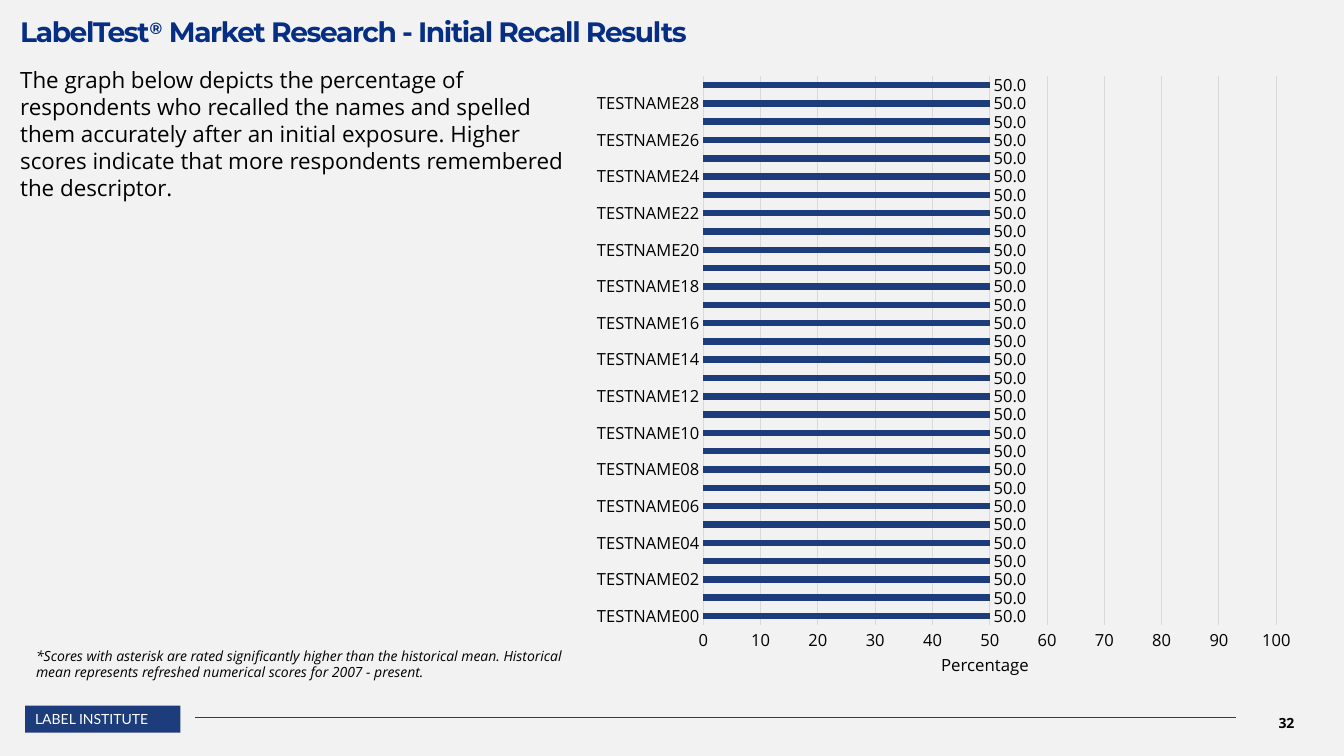
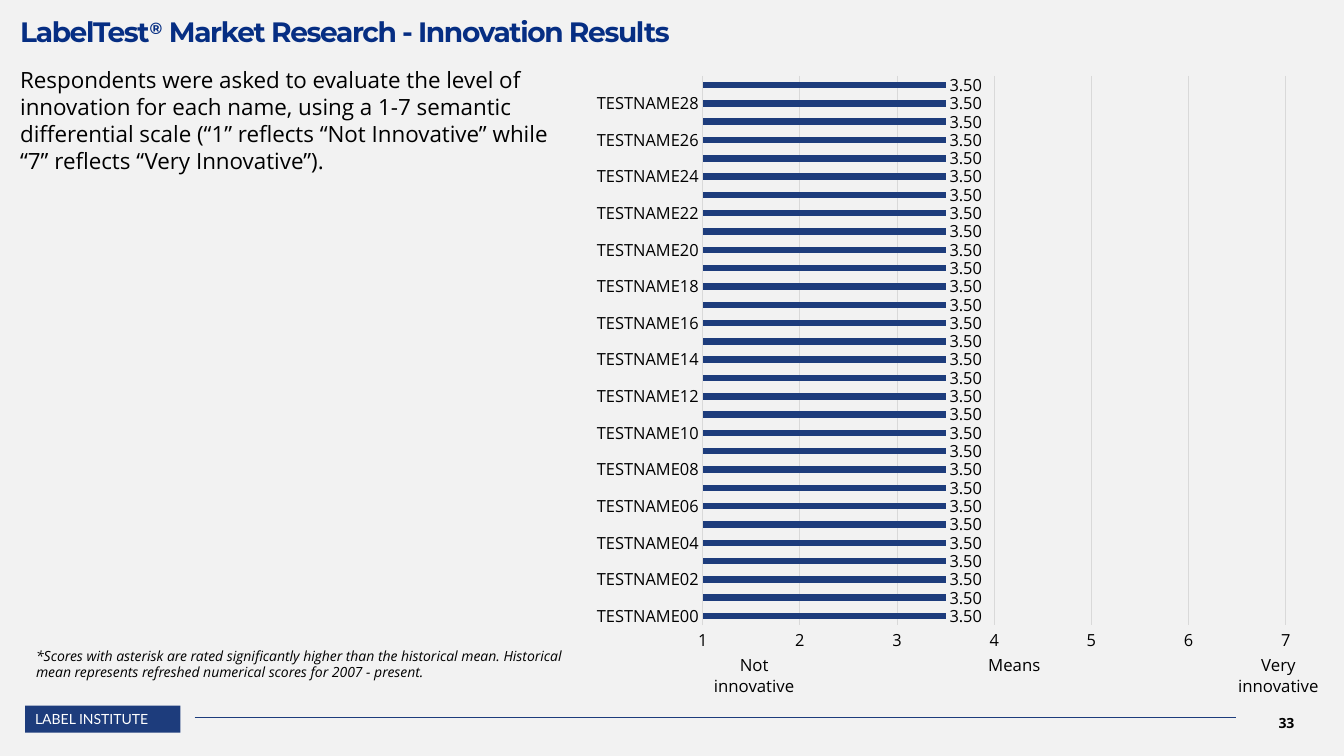
from dataclasses import dataclass
from typing import NamedTuple

from lxml.etree import SubElement
from pptx import Presentation
from pptx.chart.data import CategoryChartData
from pptx.dml.color import RGBColor
from pptx.enum.chart import XL_CHART_TYPE, XL_LABEL_POSITION, XL_TICK_MARK
from pptx.enum.shapes import MSO_CONNECTOR, MSO_SHAPE
from pptx.enum.text import MSO_ANCHOR, MSO_AUTO_SIZE, PP_ALIGN
from pptx.oxml import parse_xml
from pptx.oxml.ns import qn
from pptx.util import Inches, Pt

NAVY, BLUE, BLACK, WHITE = "1D3C7C", "062E83", "000000", "FFFFFF"
PAPER, GRID = "F2F2F2", "D9D9D9"
SANS, HEAD, TAG = "Open Sans", "Montserrat", "Lato"
CHART_NS = "http://schemas.openxmlformats.org/drawingml/2006/chart"
NAMES = [f"TESTNAME{n:02}" for n in range(30)]
NOTE = (
    "*Scores with asterisk are rated significantly higher than the historical mean. "
    "Historical mean represents refreshed numerical scores for 2007 - present."
)


class Box(NamedTuple):
    x: float
    y: float
    w: float
    h: float

    def lengths(self):
        return [Inches(v) for v in self]


class Label(NamedTuple):
    text: str
    mid: float


@dataclass
class Scale:
    low: int
    high: int
    step: int
    score: float
    style: str
    plot: Box  # as fractions of the chart


@dataclass
class Page:
    number: int
    topic: str
    body: str
    scale: Scale
    labels: list[Label]


PLACE = Box(5.92, 0.73, 6.88, 5.76)
PAGES = [
    Page(
        32,
        "Initial Recall Results",
        "The graph below depicts the percentage of respondents who recalled the names "
        "and spelled them accurately after an initial exposure. Higher scores indicate "
        "that more respondents remembered the descriptor.",
        Scale(0, 100, 10, 50, "0.0", Box(0.14, 0, 0.84, 0.95)),
        [Label("Percentage", 9.77)],
    ),
    Page(
        33,
        "Innovation Results",
        "Respondents were asked to evaluate the level of innovation for each name, "
        "using a 1-7 semantic differential scale (“1” reflects “Not Innovative” while "
        "“7” reflects “Very Innovative”).",
        Scale(1, 7, 1, 3.5, "0.00", Box(0.14, 0, 0.86, 0.95)),
        [
            Label("Not innovative", 7.48),
            Label("Means", 10.06),
            Label("Very innovative", 12.68),
        ],
    ),
]


def hue(code: str) -> RGBColor:
    return RGBColor.from_string(code)


def style(font, size: float, face: str = SANS, color: str = BLACK,
          bold: bool = False, italic: bool = False) -> None:
    font.size, font.name = Pt(size), face
    font.bold, font.italic = bold, italic
    font.color.rgb = hue(color)


def place(shape, box: Box) -> None:
    shape.left, shape.top, shape.width, shape.height = box.lengths()


def trim(frame, top: float = 0) -> None:
    """Align a placeholder's text to its top left, with no side insets."""
    frame.margin_left = frame.margin_right = frame.margin_bottom = 0
    frame.margin_top = Inches(top)
    frame.vertical_anchor = MSO_ANCHOR.TOP
    frame.auto_size = MSO_AUTO_SIZE.NONE
    frame.word_wrap = True


def write(slide, text: str, box: Box, size: float, wrap: bool = True,
          align=PP_ALIGN.LEFT, anchor=MSO_ANCHOR.TOP, **look) -> None:
    frame = slide.shapes.add_textbox(*box.lengths()).text_frame
    frame.word_wrap = wrap
    frame.vertical_anchor = anchor
    para = frame.paragraphs[0]
    para.text, para.alignment = text, align
    style(para.font, size, **look)


def head(slide, topic: str) -> None:
    title = slide.shapes.title
    place(title, Box(0.2, 0, 12.82, 0.48))
    trim(title.text_frame, 0.21)
    para = title.text_frame.paragraphs[0]
    para.alignment, para.line_spacing = PP_ALIGN.LEFT, 0.8
    style(para.font, 20, HEAD, BLUE, bold=True)
    for text, base in [("LabelTest", 0), ("®", 30000), (f" Market Research - {topic}", 0)]:
        run = para.add_run()
        run.text = text
        props = run._r.get_or_add_rPr()
        props.set("spc", "-100")
        if base:
            props.set("baseline", str(base))


def body(slide, text: str) -> None:
    shape = slide.placeholders[1]
    place(shape, Box(0.2, 0.66, 5.48, 2.17))
    trim(shape.text_frame)
    para = shape.text_frame.paragraphs[0]
    para.text, para.alignment, para.space_before = text, PP_ALIGN.LEFT, Pt(0)
    props = para._p.get_or_add_pPr()
    props.set("marL", "0")
    props.set("indent", "0")
    SubElement(props, qn("a:buNone"))
    style(para.font, 16)


def foot(slide, number: int) -> None:
    tag = slide.shapes.add_shape(MSO_SHAPE.RECTANGLE, *Box(0.25, 7, 1.54, 0.27).lengths())
    tag.shadow.inherit = False
    tag.fill.solid()
    tag.fill.fore_color.rgb = hue(NAVY)
    tag.line.fill.background()
    frame = tag.text_frame
    frame.word_wrap, frame.vertical_anchor = False, MSO_ANCHOR.TOP
    para = frame.paragraphs[0]
    para.text, para.alignment = "LABEL INSTITUTE", PP_ALIGN.LEFT
    style(para.font, 10, TAG, WHITE)

    rule = slide.shapes.add_connector(
        MSO_CONNECTOR.STRAIGHT, Inches(1.93), Inches(7.12), Inches(12.26), Inches(7.12))
    rule.line.color.rgb, rule.line.width = hue(NAVY), Pt(0.5)
    SubElement(rule._element.spPr, qn("a:effectLst"))
    write(slide, str(number), Box(12.21, 6.97, 1.1, 0.4), 10, bold=True,
          align=PP_ALIGN.CENTER, anchor=MSO_ANCHOR.MIDDLE)


def fit(chart, plot: Box) -> None:
    """Fix the inner plot area, given as fractions of the chart."""
    area = chart._chartSpace.chart.plotArea
    for old in area.findall(qn("c:layout")):
        area.remove(old)
    spots = "".join(f'<c:{k} val="{v}"/>' for k, v in zip("xywh", plot))
    area.insert(0, parse_xml(
        f'<c:layout xmlns:c="{CHART_NS}"><c:manualLayout><c:layoutTarget val="inner"/>'
        f'<c:xMode val="edge"/><c:yMode val="edge"/>{spots}</c:manualLayout></c:layout>'))


def graph(slide, scale: Scale) -> None:
    data = CategoryChartData()
    data.categories = NAMES
    data.add_series("Series 1", [scale.score] * len(NAMES))
    chart = slide.shapes.add_chart(
        XL_CHART_TYPE.BAR_CLUSTERED, *PLACE.lengths(), data).chart
    chart.has_legend = chart.has_title = False
    style(chart.font, 10)
    fit(chart, scale.plot)

    cats, vals = chart.category_axis, chart.value_axis
    for axis in (cats, vals):
        axis.major_tick_mark = axis.minor_tick_mark = XL_TICK_MARK.NONE
        style(axis.tick_labels.font, 12)
    vals.minimum_scale, vals.maximum_scale = scale.low, scale.high
    vals.major_unit = scale.step
    vals.tick_labels.number_format = "0"
    vals.tick_labels.number_format_is_linked = False
    vals.format.line.fill.background()
    vals.has_major_gridlines = True
    for line in (cats.format.line, vals.major_gridlines.format.line):
        line.color.rgb, line.width = hue(GRID), Pt(0.75)

    plot = chart.plots[0]
    plot.gap_width, plot.vary_by_categories = 182, False
    bars = plot.series[0].format.fill
    bars.solid()
    bars.fore_color.rgb = hue(NAVY)
    plot.has_data_labels = True
    marks = plot.data_labels
    marks.show_value, marks.position = True, XL_LABEL_POSITION.OUTSIDE_END
    marks.number_format, marks.number_format_is_linked = scale.style, False
    style(marks.font, 12)


def build(deck, page: Page) -> None:
    slide = deck.slides.add_slide(deck.slide_layouts[1])
    head(slide, page.topic)
    body(slide, page.body)
    foot(slide, page.number)
    graph(slide, page.scale)
    for text, mid in page.labels:
        write(slide, text, Box(mid - 0.65, 6.45, 1.3, 0.3), 12,
              wrap=False, align=PP_ALIGN.CENTER)
    write(slide, NOTE, Box(0.26, 6.37, 5.57, 0.44), 10, italic=True)


def main() -> None:
    deck = Presentation()
    deck.slide_width, deck.slide_height = Inches(13.33), Inches(7.5)
    paper = deck.slide_master.background.fill
    paper.solid()
    paper.fore_color.rgb = hue(PAPER)
    for page in PAGES:
        build(deck, page)
    deck.save("out.pptx")


if __name__ == "__main__":
    main()
